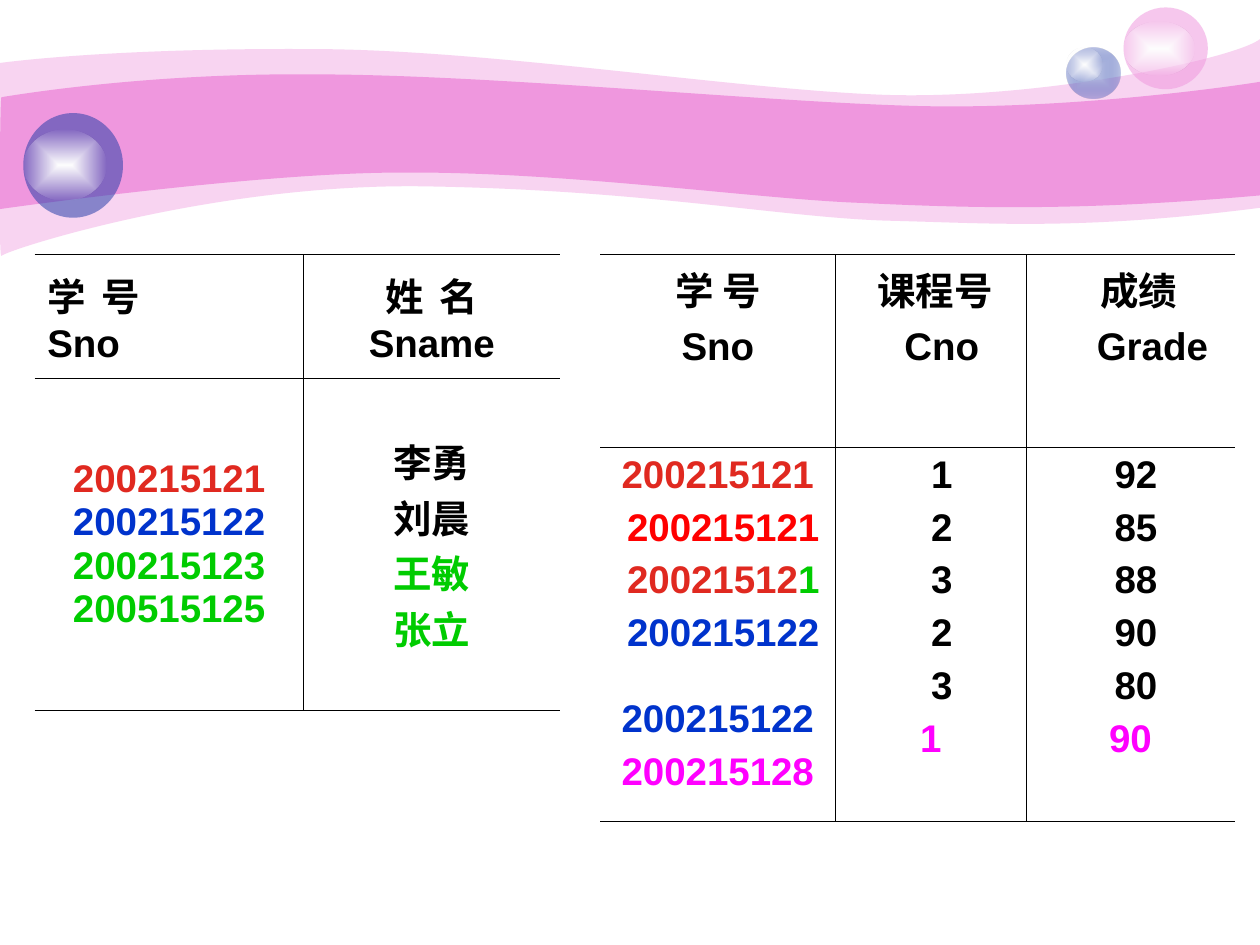
"""Build a slide with a student table and a grade table below a pink wave."""
from lxml import etree
from pptx import Presentation
from pptx.dml.color import RGBColor
from pptx.enum.shapes import MSO_SHAPE
from pptx.enum.text import MSO_ANCHOR, PP_ALIGN
from pptx.oxml import parse_xml
from pptx.oxml.ns import qn
from pptx.util import Cm, Pt

OVAL = MSO_SHAPE.OVAL
TOP, MIDDLE = MSO_ANCHOR.TOP, MSO_ANCHOR.MIDDLE
LEFT, CENTER = PP_ALIGN.LEFT, PP_ALIGN.CENTER
NS = 'xmlns:a="http://schemas.openxmlformats.org/drawingml/2006/main"'
PLAIN = "{2D5ABB26-0587-4C30-8999-92F81FD0307C}"
HEX = {
    "black": "000000", "white": "FFFFFF", "pink": "EF97DE", "navy": "233DA9",
    "pale": "C7CEE9", "brick": "E02920", "red": "FF0000", "blue": "0033CC",
    "green": "00CC00", "rose": "FF00FF",
}


def paint(shape, stops):
    """Fill a shape with one colour, or a glow from its centre, and no line."""
    shape.shadow.inherit = False
    shape.line.fill.background()
    tints = [f'<a:srgbClr val="{HEX[name]}"><a:alpha val="{alpha * 1000}"/></a:srgbClr>'
             for name, alpha in stops]
    if len(tints) == 1:
        xml = f"<a:solidFill {NS}>{tints[0]}</a:solidFill>"
    else:
        xml = (f'<a:gradFill {NS} rotWithShape="1"><a:gsLst><a:gs pos="0">{tints[0]}</a:gs>'
               f'<a:gs pos="100000">{tints[1]}</a:gs></a:gsLst><a:path path="rect">'
               '<a:fillToRect l="50000" t="50000" r="50000" b="50000"/></a:path></a:gradFill>')
    shape.fill.background()
    props = shape.element.spPr
    props.replace(props.find(qn("a:noFill")), parse_xml(xml))


def write(cell, lines, align, before, track):
    """Write (text, colours, pad, extra space) lines into a table cell."""
    for i, (text, tints, pad, extra) in enumerate(lines):
        para = cell.text_frame.paragraphs[0] if i == 0 else cell.text_frame.add_paragraph()
        para.alignment = align
        para.space_before = Pt(before + extra if i else 0)
        para._p.get_or_add_pPr().set("marL", str(Cm(0.22 * pad)))
        font = para.font
        font.name, font.size, font.bold = "Arial", Pt(22), True
        names = tints.split("|")
        font.color.rgb = RGBColor.from_string(HEX[names[0]])
        if track and " " in text:
            font._element.set("spc", str(track))
        for part, name in zip(text.split("|"), names):
            run = para.add_run()
            run.text = part
            if name != names[0]:
                run.font.color.rgb = RGBColor.from_string(HEX[name])


deck = Presentation()
deck.slide_width, deck.slide_height = Cm(25.4), Cm(19.05)
slide = deck.slides.add_slide(deck.slide_layouts[6])

waves = [
    (41, (0, 1.27), [
        [(0.61, 1.19), (2.72, 0.97), (6.27, 0.99)],
        [(9.8, 0.99), (14.61, 1.78), (17.75, 1.91)],
        [(20.88, 2.03), (24.89, 1.19), (25.4, 0.79)],
        [(25.4, 4.19)],
        [(21.79, 4.65), (19.99, 4.5), (17.91, 4.45)],
        [(15.8, 4.39), (13.08, 3.84), (8.71, 3.76)],
        [(4.37, 3.66), (0.1, 5.05), (0.03, 5.16)],
        [(-0.03, 5.28), (0, 1.91), (0, 1.27)]]),
    (100, (0.03, 1.96), [
        [(0.05, 1.96), (2.79, 1.47), (6.3, 1.5)],
        [(9.8, 1.5), (15.11, 2.03), (18.24, 2.13)],
        [(21.36, 2.24), (24.79, 1.75), (25.4, 1.65)],
        [(25.4, 3.94)],
        [(21.67, 4.27), (19.43, 4.19), (17.32, 4.09)],
        [(15.21, 4.01), (11.35, 3.45), (8.05, 3.48)],
        [(5.16, 3.48), (-0.05, 4.22), (-0.03, 4.22)],
        [(0, 4.22), (0, 1.96), (0.03, 1.96)]]),
]
for alpha, start, parts in waves:
    form = slide.shapes.build_freeform(Cm(start[0]), Cm(start[1]))
    form.add_line_segments([(Cm(x), Cm(y)) for part in parts for x, y in part], close=True)
    wave = form.convert_to_shape()
    lines = iter(list(wave.element.iter(qn("a:lnTo"))))
    for part in parts:
        steps = [next(lines) for dot in part]
        if len(steps) == 3:
            curve = parse_xml(f"<a:cubicBezTo {NS}/>")
            steps[0].addprevious(curve)
            for step in steps:
                curve.append(step[0])
                step.getparent().remove(step)
    paint(wave, [("pink", alpha)])

shine = [("white", 100), ("white", 0)]
balls = [
    ((21.51, 0.96, 1.07, 1.02), [("pale", 100), ("navy", 31)], (21.51, 0.96, 0.71, 0.69)),
    ((22.65, 0.15, 1.7, 1.65), [("pink", 53)], (22.65, 0.43, 1.42, 1.09)),
    ((0.47, 2.28, 2.01, 2.11), [("navy", 53)], (0.47, 2.62, 1.68, 1.42)),
]
for body, stops, spot in balls:
    group = slide.shapes.add_group_shape()
    for box, fill in ((body, stops), (spot, shine)):
        paint(group.shapes.add_shape(OVAL, *map(Cm, box)), fill)

pupils = [
    [[("学 号", "black", 0, 0), ("Sno", "black", 0, 0)],
     [("姓 名", "black", 0, 0), ("Sname", "black", 0, 0)]],
    [[("200215121", "brick", 0, 0), ("200215122", "blue", 0, 0),
      ("200215123", "green", 0, 0), ("200515125", "green", 0, 0)],
     [("李勇", "black", 0, 0), ("刘晨", "black", 0, 0),
      ("王敏", "green", 0, 0), ("张立", "green", 0, 0)]],
]
grades = [
    [[("学 号", "black", 0, 0), ("Sno", "black", 0, 0)],
     [("课程号", "black", 0.75, 0), ("Cno", "black", 2, 0)],
     [("成绩", "black", 1.5, 0), ("Grade", "black", 4, 0)]],
    [[("200215121", "brick", 0, 0), ("200215121", "red", 1, 0),
      ("20021512|1", "brick|green", 1, 0), ("200215122", "blue", 1, 0),
      ("200215122", "blue", 0, 19), ("200215128", "rose", 0, 0)],
     [(n, "black", 2, 0) for n in "12323"] + [("1", "rose", 0, 0)],
     [(n, "black", 1, 0) for n in ("92", "85", "88", "90", "80")] + [("90", "rose", 0, 0)]],
]
tables = [
    (0.7, [5.42, 5.17], [2.49, 6.7], pupils, MIDDLE, LEFT, 0, 200),
    (12.1, [4.74, 3.85, 4.2], [3.89, 7.54], grades, TOP, CENTER, 5.5, 0),
]
for left, wide, high, data, anchor, first, before, track in tables:
    frame = slide.shapes.add_table(len(high), len(wide), Cm(left), Cm(5.13),
                                   Cm(sum(wide)), Cm(sum(high)))
    table = frame.table
    table.first_row = table.horz_banding = False
    table._tbl.tblPr.find(qn("a:tableStyleId")).text = PLAIN
    for col, width in zip(table.columns, wide):
        col.width = Cm(width)
    for r, height in enumerate(high):
        table.rows[r].height = Cm(height)
        for c, lines in enumerate(data[r]):
            cell = table.cell(r, c)
            cell.vertical_anchor = anchor
            cell.fill.background()
            sides = "L" * (c > 0) + "R" * (c < len(wide) - 1) + "TB"
            for i, side in enumerate(sides):
                edge = etree.fromstring(
                    f'<a:ln{side} {NS} w="5715"><a:solidFill>'
                    f'<a:srgbClr val="{HEX["black"]}"/></a:solidFill></a:ln{side}>')
                cell._tc.tcPr.insert(i, edge)
            write(cell, lines, first if r == c == 0 else CENTER, before, track)

deck.save("out.pptx")
